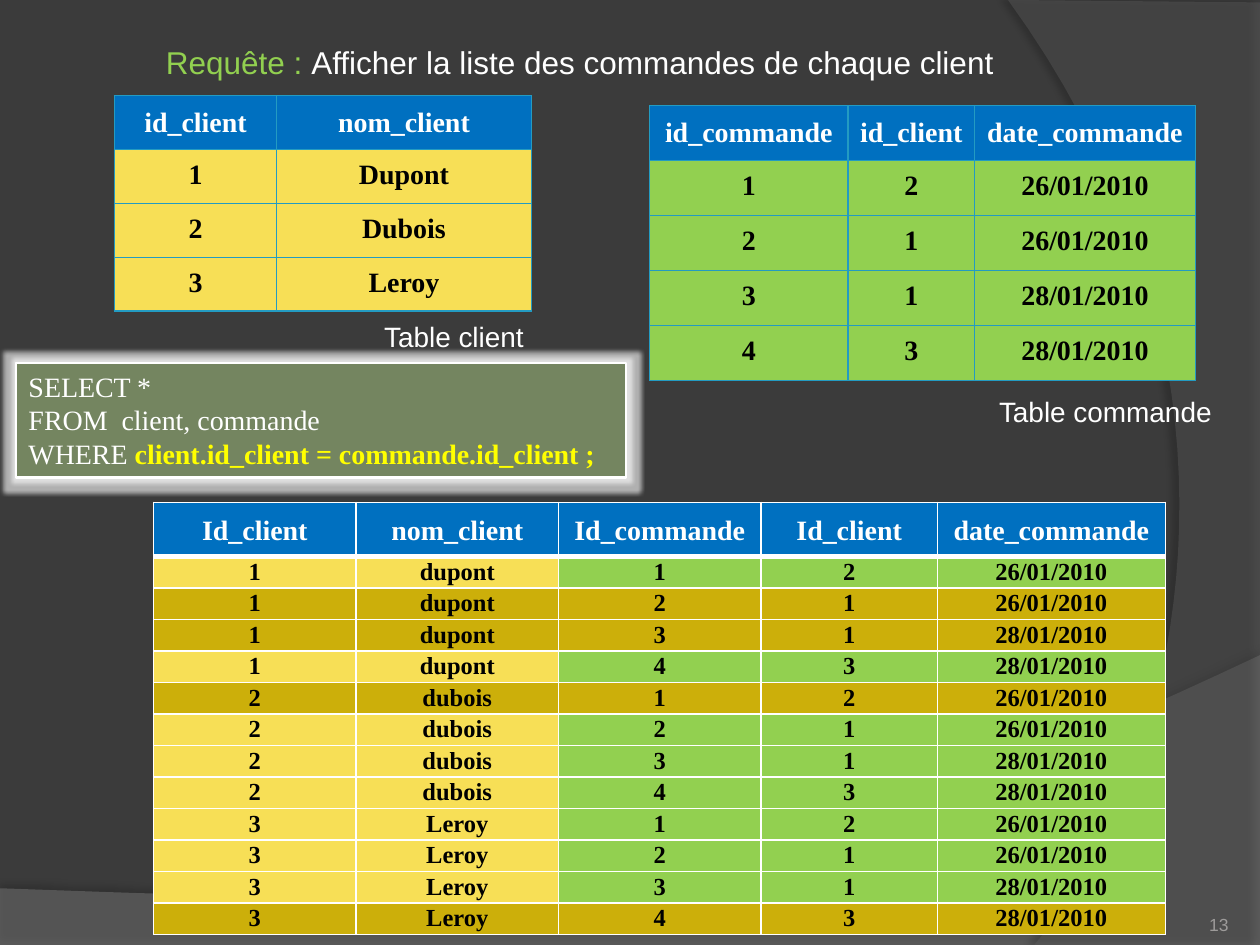
from dataclasses import dataclass
from itertools import product
from typing import NamedTuple

from lxml import etree
from pptx import Presentation
from pptx.dml.color import RGBColor
from pptx.enum.shapes import MSO_SHAPE as Shape
from pptx.enum.text import MSO_ANCHOR as Anchor, PP_ALIGN as Align
from pptx.oxml import parse_xml
from pptx.oxml.ns import nsdecls, qn
from pptx.util import Pt

BACKGROUND = RGBColor(0x3B, 0x3B, 0x3B)
WAVE_GREY = RGBColor(0x7F, 0x7F, 0x7F)
BAND_GREY = RGBColor(0x5E, 0x5E, 0x5E)
NUMBER_GREY = RGBColor(0x9D, 0x9B, 0x9A)
WHITE = RGBColor(0xFF, 0xFF, 0xFF)
BLACK = RGBColor(0, 0, 0)
BLUE = RGBColor(0x00, 0x70, 0xC0)
BORDER_BLUE = RGBColor(0x23, 0x9B, 0xC2)
SAND = RGBColor(0xF7, 0xDF, 0x56)
GREEN = RGBColor(0x92, 0xD0, 0x50)
GOLD = RGBColor(0xCC, 0xAF, 0x0A)
OLIVE = RGBColor(0x74, 0x85, 0x60)
YELLOW = RGBColor(0xFF, 0xFF, 0x00)
SANS, SERIF = "Arial", "Times New Roman"

CLIENTS = [("1", "Dupont"), ("2", "Dubois"), ("3", "Leroy")]
RESULT_NAMES = {"1": "dupont", "2": "dubois", "3": "Leroy"}
ORDERS = [("1", "2", "26/01/2010"), ("2", "1", "26/01/2010"),
          ("3", "1", "28/01/2010"), ("4", "3", "28/01/2010")]


class Box(NamedTuple):
    left: float
    top: float
    width: float
    height: float

    def lengths(self):
        return [Pt(v) for v in self]


class Run(NamedTuple):
    text: str
    color: RGBColor = WHITE
    bold: bool = False


@dataclass
class Label:
    box: Box
    runs: list
    size: float = 16
    align: Align = Align.LEFT
    anchor: Anchor = Anchor.TOP
    inset: tuple = (7.2, 3.6)


@dataclass
class Grid:
    left: float
    top: float
    widths: list
    header_height: float
    row_height: float
    header: list
    rows: list
    fills: list
    border: RGBColor
    border_width: float
    header_rule: float
    inset: tuple
    size: float = 16
    spacing: float = 1.0


@dataclass
class Backdrop:
    """Outline of straight corners and one closing Bezier curve."""
    corners: list
    curve: list
    color: RGBColor
    opacity: int
    shadow_opacity: int
    shadow_distance: float
    shadow_angle: int


BACKDROPS = [
    Backdrop([(0, 507.6), (0, 540), (720, 540)],
             [(720, 374.4), (402.5, 524.9), (281.5, 517.7), (0, 507.6)],
             WAVE_GREY, 45, 35, 3.5, 270),
    Backdrop([(720, 1.4), (720, 540)],
             [(591, 540), (673.2, 445.7), (733, 216), (576, 0)],
             BAND_GREY, 40, 45, 4, 180),
]

LABELS = [
    Label(Box(642, 505.5, 60, 28.8), [Run("13", NUMBER_GREY)], 10,
          Align.RIGHT, Anchor.BOTTOM, (0, 0)),
    Label(Box(212.4, 179.3, 130.3, 26.6), [Run("Table client")]),
    Label(Box(563.8, 221.8, 141.8, 26.6), [Run("Table commande")]),
    Label(Box(87.8, 20.9, 487.4, 28.8),
          [Run("Requête : ", GREEN),
           Run("Afficher la liste des commandes de chaque client")], 18),
]

SQL_LINES = [
    [Run("SELECT *")],
    [Run("FROM  client, commande")],
    [Run("WHERE "), Run("client.id_client = commande.id_client ;", YELLOW, True)],
]


def joined_rows():
    """Return the cross product's rows and fills; matching ids are gold."""
    rows, fills = [], []
    for (client, _), order in product(CLIENTS, ORDERS):
        rows.append((client, RESULT_NAMES[client], *order))
        fills.append([GOLD] * 5 if client == order[1] else [SAND] * 2 + [GREEN] * 3)
    return rows, fills


RESULT_ROWS, RESULT_FILLS = joined_rows()
GRIDS = [
    Grid(65.3, 54.8, [92.9, 145.3], 30.2, 30.3, ["id_client", "nom_client"],
         CLIENTS, [[SAND] * 2] * 3, BORDER_BLUE, 0.75, 0.75, (5.76, 5.76)),
    Grid(371.2, 60.4, [113.4, 72.4, 126], 31.4, 31.4,
         ["id_commande", "id_client", "date_commande"],
         ORDERS, [[GREEN] * 3] * 4, BORDER_BLUE, 0.75, 0.75, (5.76, 5.76)),
    Grid(87.8, 287.1, [115.7, 115.7, 115.7, 100.8, 130.3], 31, 18,
         ["Id_client", "nom_client", "Id_commande", "Id_client", "date_commande"],
         RESULT_ROWS, RESULT_FILLS, WHITE, 1, 3, (5, 0), 14, 1.07),
]


def set_format(target, values: dict) -> None:
    for name, value in values.items():
        setattr(target, name, value)


def add_runs(p, runs: list, font: str, size: float) -> None:
    for run in runs:
        r = p.add_run()
        r.text = run.text
        set_format(r.font, {"name": font, "size": Pt(size), "bold": run.bold})
        r.font.color.rgb = run.color


def add_effect(sp, effect: str) -> None:
    sp.shadow.inherit = False
    effects = sp._element.spPr.find(qn("a:effectLst"))
    effects.append(parse_xml(effect))


def bezier(points: list, steps: int = 40) -> list:
    a, b, c, d = points
    curve = []
    for i in range(steps + 1):
        t = i / steps
        u = 1 - t
        weights = (u ** 3, 3 * u * u * t, 3 * u * t * t, t ** 3)
        curve.append(tuple(sum(w * q[k] for w, q in zip(weights, (a, b, c, d)))
                           for k in (0, 1)))
    return curve


def add_backdrop(s, item: Backdrop) -> None:
    points = [(Pt(x), Pt(y)) for x, y in item.corners + bezier(item.curve)]
    builder = s.shapes.build_freeform(*points[0])
    builder.add_line_segments(points[1:], close=True)
    sp = builder.convert_to_shape()
    sp.fill.solid()
    sp.fill.fore_color.rgb = item.color
    color = sp._element.spPr.find(qn("a:solidFill"))[0]
    etree.SubElement(color, qn("a:alpha"), val=str(item.opacity * 1000))
    sp.line.fill.background()
    add_effect(sp, f'<a:outerShdw {nsdecls("a")} blurRad="{Pt(4)}" '
                   f'dist="{Pt(item.shadow_distance)}" dir="{item.shadow_angle * 60000}">'
                   f'<a:srgbClr val="{BLACK}"><a:alpha val="{item.shadow_opacity * 1000}"/>'
                   '</a:srgbClr></a:outerShdw>')


def add_label(s, label: Label) -> None:
    tf = s.shapes.add_textbox(*label.box.lengths()).text_frame
    x, y = map(Pt, label.inset)
    set_format(tf, {"word_wrap": True, "vertical_anchor": label.anchor, "margin_left": x,
                    "margin_right": x, "margin_top": y, "margin_bottom": y})
    p = tf.paragraphs[0]
    p.alignment = label.align
    add_runs(p, label.runs, SANS, label.size)


def add_borders(cell, color: RGBColor, widths: dict) -> None:
    for side, width in widths.items():
        cell._tc.get_or_add_tcPr().append(parse_xml(
            f'<a:ln{side} {nsdecls("a")} w="{Pt(width)}"><a:solidFill>'
            f'<a:srgbClr val="{color}"/></a:solidFill></a:ln{side}>'))


def add_grid(s, grid: Grid) -> None:
    heights = [grid.header_height] + [grid.row_height] * len(grid.rows)
    box = Box(grid.left, grid.top, sum(grid.widths), sum(heights))
    table = s.shapes.add_table(len(heights), len(grid.widths), *box.lengths()).table
    table.horz_banding = False
    for column, width in zip(table.columns, grid.widths):
        column.width = Pt(width)
    fills = [[BLUE] * len(grid.header)] + grid.fills
    x, y = map(Pt, grid.inset)
    for i, texts in enumerate([grid.header] + grid.rows):
        table.rows[i].height = Pt(heights[i])
        is_header = i == 0
        above = grid.header_rule if i == 1 else grid.border_width
        below = grid.header_rule if is_header else grid.border_width
        for j, text in enumerate(texts):
            cell = table.cell(i, j)
            set_format(cell, {"margin_left": x, "margin_right": x,
                              "margin_top": y, "margin_bottom": y,
                              "vertical_anchor": Anchor.MIDDLE if is_header else Anchor.TOP})
            add_borders(cell, grid.border, {"L": grid.border_width, "R": grid.border_width,
                                            "T": above, "B": below})
            cell.fill.solid()
            cell.fill.fore_color.rgb = fills[i][j]
            p = cell.text_frame.paragraphs[0]
            set_format(p, {"alignment": Align.CENTER, "line_spacing": grid.spacing})
            add_runs(p, [Run(text, WHITE if is_header else BLACK, True)], SERIF,
                     16 if is_header else grid.size)


def add_query(s, box: Box) -> None:
    sp = s.shapes.add_shape(Shape.RECTANGLE, *box.lengths())
    sp.fill.solid()
    sp.fill.fore_color.rgb = OLIVE
    sp.line.color.rgb = WHITE
    sp.line.width = Pt(1.5)
    add_effect(sp, f'<a:glow {nsdecls("a")} rad="{Pt(5)}"><a:srgbClr val="{WHITE}">'
                   '<a:alpha val="60000"/></a:srgbClr></a:glow>')
    tf = sp.text_frame
    set_format(tf, {"word_wrap": True, "vertical_anchor": Anchor.TOP})
    for i, runs in enumerate(SQL_LINES):
        p = tf.add_paragraph() if i else tf.paragraphs[0]
        p.alignment = Align.LEFT
        add_runs(p, runs, SERIF, 16)


def main() -> None:
    prs = Presentation()
    set_format(prs, {"slide_width": Pt(720), "slide_height": Pt(540)})
    s = prs.slides.add_slide(prs.slide_layouts[6])
    s.background.fill.solid()
    s.background.fill.fore_color.rgb = BACKGROUND
    for draw, items in ((add_backdrop, BACKDROPS), (add_label, LABELS), (add_grid, GRIDS)):
        for item in items:
            draw(s, item)
    add_query(s, Box(9.2, 207.5, 348.6, 65.5))
    prs.save("out.pptx")


if __name__ == "__main__":
    main()
